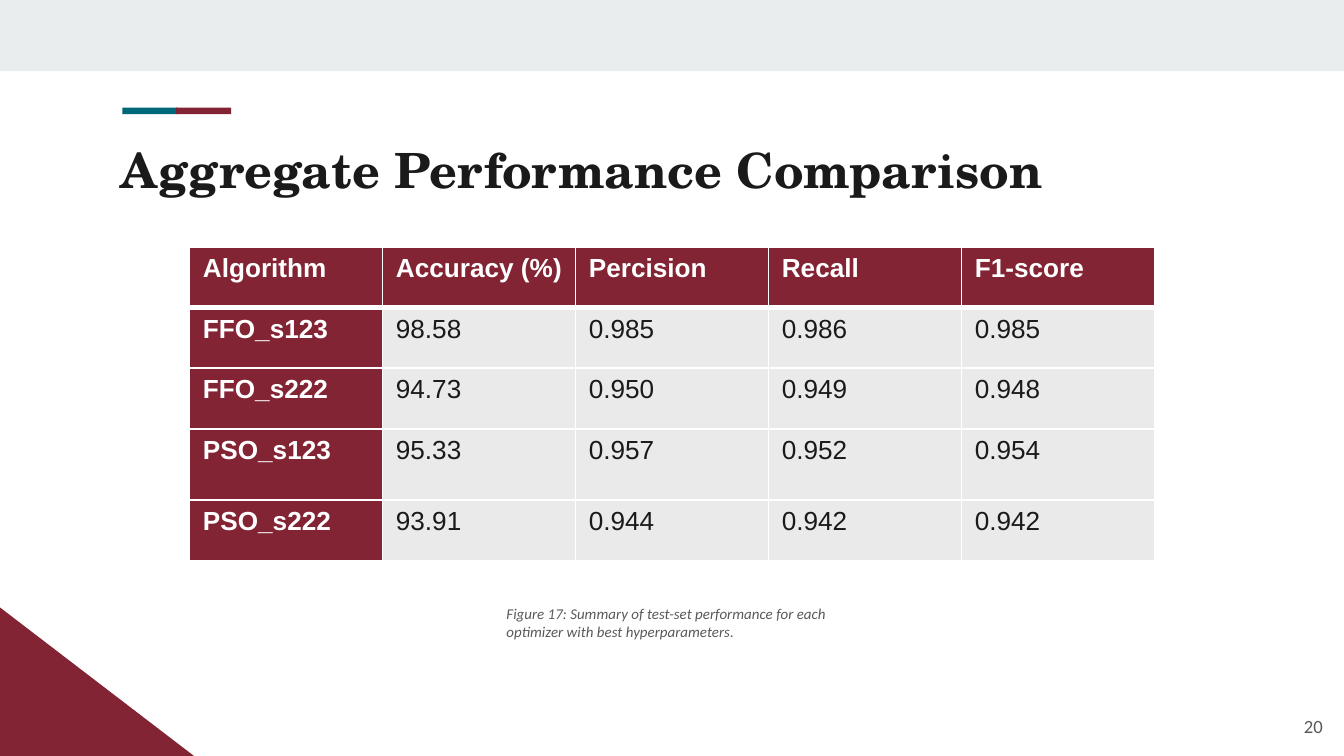
"""Build the aggregate performance comparison slide."""
from dataclasses import dataclass

from lxml.etree import SubElement
from pptx import Presentation
from pptx.dml.color import RGBColor
from pptx.enum.shapes import MSO_SHAPE
from pptx.enum.text import MSO_ANCHOR, MSO_AUTO_SIZE, PP_ALIGN
from pptx.oxml.ns import qn
from pptx.util import Inches, Pt

MAROON, TEAL, PALE = "822433", "006778", "E9EDEE"
INK, GREY, WHITE, CELL = "1A1A1A", "595959", "FFFFFF", "EAEAEA"


@dataclass
class Decoration:
    kind: MSO_SHAPE
    left: float
    top: float
    width: float
    height: float
    fill: str


@dataclass
class TextStyle:
    font: str
    size: float
    hue: str
    bold: bool = False
    italic: bool = False
    align: PP_ALIGN = PP_ALIGN.LEFT


DECORATIONS = [
    Decoration(MSO_SHAPE.RECTANGLE, 0, 0, 10, 0.53, PALE),
    Decoration(MSO_SHAPE.RIGHT_TRIANGLE, 0, 4.52, 1.45, 1.11, MAROON),
    Decoration(MSO_SHAPE.RECTANGLE, 0.91, 0.8, 0.41, 0.05, TEAL),
    Decoration(MSO_SHAPE.RECTANGLE, 1.31, 0.8, 0.41, 0.05, MAROON),
]
RESULTS = [
    ["Algorithm", "Accuracy (%)", "Percision", "Recall", "F1-score"],
    ["FFO_s123", "98.58", "0.985", "0.986", "0.985"],
    ["FFO_s222", "94.73", "0.950", "0.949", "0.948"],
    ["PSO_s123", "95.33", "0.957", "0.952", "0.954"],
    ["PSO_s222", "93.91", "0.944", "0.942", "0.942"],
]
ROW_HEIGHTS = [0.45, 0.45, 0.45, 0.53, 0.45]


def color(value: str) -> RGBColor:
    return RGBColor.from_string(value)


def draw_decoration(page, item: Decoration) -> None:
    shape = page.shapes.add_shape(item.kind, Inches(item.left), Inches(item.top),
                                  Inches(item.width), Inches(item.height))
    shape.shadow.inherit = False
    shape.fill.solid()
    shape.fill.fore_color.rgb = color(item.fill)
    shape.line.fill.background()


def write(frame, text: str, style: TextStyle) -> None:
    frame.text = text
    paragraph = frame.paragraphs[0]
    paragraph.alignment = style.align
    font = paragraph.font
    font.name, font.size = style.font, Pt(style.size)
    font.bold, font.italic = style.bold, style.italic
    font.color.rgb = color(style.hue)


def set_frame(frame, inset: float, anchor: MSO_ANCHOR) -> None:
    frame.word_wrap = True
    frame.auto_size = MSO_AUTO_SIZE.NONE
    frame.vertical_anchor = anchor
    frame.margin_left = frame.margin_right = Inches(inset)
    frame.margin_top = frame.margin_bottom = Inches(inset)


def add_title(page, text: str) -> None:
    title = page.shapes.title
    title.left, title.top = Inches(0.8), Inches(0.94)
    title.width, title.height = Inches(8.88), Inches(0.59)
    set_frame(title.text_frame, 0.1, MSO_ANCHOR.TOP)
    write(title.text_frame, text, TextStyle("TeX Gyre Schola", 26, INK, bold=True))


def add_label(page, left: float, top: float, width: float, height: float,
              text: str, style: TextStyle):
    box = page.shapes.add_textbox(Inches(left), Inches(top), Inches(width), Inches(height))
    box.text_frame.word_wrap = True
    write(box.text_frame, text, style)
    return box


def set_borders(cell, widths: dict[str, float]) -> None:
    properties = cell._tc.get_or_add_tcPr()
    for position, (side, width) in enumerate(widths.items()):
        line = properties.makeelement(qn(f"a:{side}"), {"w": str(Pt(width))})
        fill = SubElement(line, qn("a:solidFill"))
        SubElement(fill, qn("a:srgbClr"), val=WHITE)
        properties.insert(position, line)


def add_results(page) -> None:
    table = page.shapes.add_table(len(RESULTS), len(RESULTS[0]), Inches(1.41), Inches(1.84),
                                  Inches(7.18), Inches(sum(ROW_HEIGHTS))).table
    table.first_col = True
    table.horz_banding = False
    for row, (values, height) in enumerate(zip(RESULTS, ROW_HEIGHTS)):
        table.rows[row].height = Inches(height)
        for column, value in enumerate(values):
            cell = table.cell(row, column)
            heading = row == 0 or column == 0
            cell.fill.solid()
            cell.fill.fore_color.rgb = color(MAROON if heading else CELL)
            write(cell.text_frame, value,
                  TextStyle("Arial", 14, WHITE if heading else INK, bold=heading))
            set_borders(cell, {"lnL": 1, "lnR": 1, "lnT": 3 if row == 1 else 1,
                               "lnB": 3 if row == 0 else 1})


def main() -> None:
    deck = Presentation()
    deck.slide_width = Inches(10)
    deck.slide_height = deck.slide_width * 9 // 16
    page = deck.slides.add_slide(deck.slide_layouts[5])
    for item in DECORATIONS:
        draw_decoration(page, item)
    add_title(page, "Aggregate Performance Comparison")
    number = add_label(page, 9.34, 5.19, 0.6, 0.43, "20",
                       TextStyle("Calibri", 10, GREY, align=PP_ALIGN.RIGHT))
    set_frame(number.text_frame, 0.1, MSO_ANCHOR.MIDDLE)
    add_label(page, 3.67, 4.45, 2.66, 0.5,
              "Figure 17: Summary of test-set performance for each optimizer "
              "with best hyperparameters.",
              TextStyle("Calibri", 8, GREY, italic=True))
    add_results(page)
    deck.save("out.pptx")


if __name__ == "__main__":
    main()
